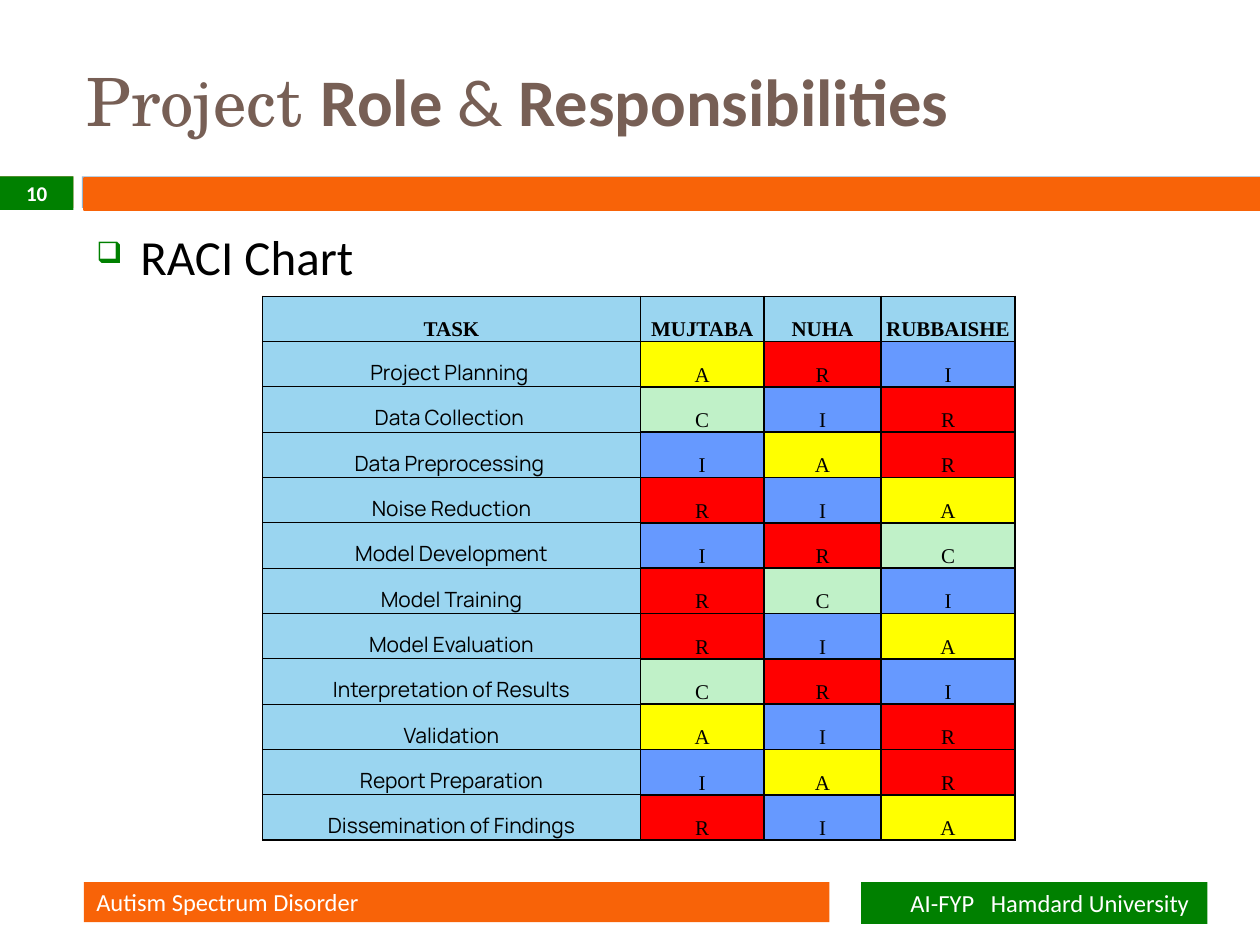
from lxml.etree import SubElement
from pptx import Presentation
from pptx.dml.color import RGBColor
from pptx.enum.shapes import MSO_SHAPE
from pptx.enum.text import MSO_ANCHOR, PP_ALIGN
from pptx.oxml.ns import qn
from pptx.util import Pt

ORANGE = RGBColor(0xF8, 0x63, 0x08)
RUST = RGBColor(0xDD, 0x80, 0x47)
STEEL = RGBColor(0x94, 0xB6, 0xD2)
GREEN = RGBColor(0x00, 0x80, 0x00)
BROWN = RGBColor(0x77, 0x5F, 0x55)
BLACK = RGBColor(0x00, 0x00, 0x00)
WHITE = RGBColor(0xFF, 0xFF, 0xFF)
SKY = RGBColor(0x9A, 0xD5, 0xF0)
ROLE_FILLS = {
    "R": RGBColor(0xFF, 0x00, 0x00),
    "A": RGBColor(0xFF, 0xFF, 0x00),
    "C": RGBColor(0xC0, 0xF1, 0xC8),
    "I": RGBColor(0x66, 0x99, 0xFF),
}

HEADERS = ["TASK", "MUJTABA", "NUHA", "RUBBAISHE"]
TASKS = [
    ("Project Planning ", "ARI"),
    ("Data Collection ", "CIR"),
    ("Data Preprocessing ", "IAR"),
    ("Noise Reduction", "RIA"),
    ("Model Development", "IRC"),
    ("Model Training", "RCI"),
    ("Model Evaluation", "RIA"),
    ("Interpretation of Results", "CRI"),
    ("Validation", "AIR"),
    ("Report Preparation", "IAR"),
    ("Dissemination of Findings", "RIA"),
]
COLUMN_WIDTHS = [216, 70.5, 67, 76.5]
ROW_HEIGHT = 25.92


def style_font(span, size, color, name="Calibri", bold=False):
    font = span.font
    font.size, font.name, font.bold = Pt(size), name, bold
    font.color.rgb = color


def add_run(para, text, *style):
    span = para.add_run()
    span.text = text
    style_font(span, *style)
    return span


def add_bar(slide, left, top, width, height, fill, outline=None):
    bar = slide.shapes.add_shape(
        MSO_SHAPE.RECTANGLE, Pt(left), Pt(top), Pt(width), Pt(height))
    bar.shadow.inherit = False
    bar.fill.solid()
    bar.fill.fore_color.rgb = fill
    if outline is None:
        bar.line.fill.background()
    else:
        bar.line.color.rgb = outline
        bar.line.width = Pt(1.5)
    frame = bar.text_frame
    frame.vertical_anchor = MSO_ANCHOR.MIDDLE
    return frame


def add_text_box(slide, left, top, width, height, anchor):
    box = slide.shapes.add_textbox(Pt(left), Pt(top), Pt(width), Pt(height))
    frame = box.text_frame
    frame.word_wrap = True
    frame.vertical_anchor = anchor
    return frame.paragraphs[0]


def add_bullet(para, indent):
    properties = para._p.get_or_add_pPr()
    properties.set("marL", str(Pt(indent)))
    properties.set("indent", str(-Pt(indent)))
    color = SubElement(properties, qn("a:buClr"))
    SubElement(color, qn("a:srgbClr"), val=str(GREEN))
    SubElement(properties, qn("a:buSzPct"), val="60000")
    SubElement(properties, qn("a:buChar"), char="❑")


def set_borders(cell, left=1, right=1, top=1, bottom=1):
    """Draw black cell borders; must run before the cell is filled."""
    properties = cell._tc.get_or_add_tcPr()
    widths = {"a:lnL": left, "a:lnR": right, "a:lnT": top, "a:lnB": bottom}
    for tag, width in widths.items():
        line = SubElement(properties, qn(tag), w=str(Pt(width)))
        fill = SubElement(line, qn("a:solidFill"))
        SubElement(fill, qn("a:srgbClr"), val=str(BLACK))


def fill_cell(cell, text, fill, font="Times New Roman", bold=False, **borders):
    set_borders(cell, **borders)
    cell.fill.solid()
    cell.fill.fore_color.rgb = fill
    cell.vertical_anchor = MSO_ANCHOR.BOTTOM
    cell.margin_left = cell.margin_right = cell.margin_top = Pt(0.75)
    cell.margin_bottom = Pt(0)
    para = cell.text_frame.paragraphs[0]
    para.alignment = PP_ALIGN.CENTER
    add_run(para, text, 12, BLACK, font, bold)


def add_raci_table(slide):
    row_count = len(TASKS) + 1
    table = slide.shapes.add_table(
        row_count, len(HEADERS), Pt(150), Pt(169.2),
        Pt(sum(COLUMN_WIDTHS)), Pt(ROW_HEIGHT * row_count)).table
    table.first_row = table.horz_banding = False
    for column, width in zip(table.columns, COLUMN_WIDTHS):
        column.width = Pt(width)
    for row in table.rows:
        row.height = Pt(ROW_HEIGHT)

    for index, header in enumerate(HEADERS):
        fill_cell(table.cell(0, index), header, SKY, bold=True,
                  top=0.5, bottom=1 if index else 0.5)
    for row, (task, roles) in enumerate(TASKS, start=1):
        fill_cell(table.cell(row, 0), task, SKY, "Manrope",
                  top=0.5, bottom=1.5 if row == len(TASKS) else 0.5)
        for column, role in enumerate(roles, start=1):
            fill_cell(table.cell(row, column), role, ROLE_FILLS[role])


def add_title(slide):
    para = add_text_box(slide, 42.5, 18, 600, 78, MSO_ANCHOR.MIDDLE)
    add_run(para, "Project ", 38, BROWN, "TeX Gyre Schola")
    for text, bold in (("Role", True), (" & ", False), ("Responsibilities", True)):
        add_run(para, text, 38, BROWN, "Calibri", bold)


def add_heading(slide):
    para = add_text_box(slide, 48, 126, 642, 42, MSO_ANCHOR.TOP)
    para.alignment = PP_ALIGN.JUSTIFY
    para.space_before = Pt(7)
    add_bullet(para, 25.2)
    add_run(para, "RACI Chart", 28, BLACK)


def add_footers(slide):
    topic = add_bar(slide, 48, 504, 426, 23, ORANGE).paragraphs[0]
    topic.alignment = PP_ALIGN.LEFT
    add_run(topic, "Autism Spectrum Disorder", 14, WHITE)

    frame = add_bar(slide, 492, 504, 198, 24, GREEN)
    frame.margin_right = Pt(10.5)
    school = frame.paragraphs[0]
    school.alignment = PP_ALIGN.RIGHT
    add_run(school, "AI-FYP", 14, WHITE)
    gap = add_run(school, " ", 14, WHITE)
    gap.font._element.set("spc", "630")
    add_run(school, "Hamdard University", 14, WHITE)


def main():
    deck = Presentation()
    deck.slide_width, deck.slide_height = Pt(720), Pt(540)
    slide = deck.slides.add_slide(deck.slide_layouts[6])

    add_bar(slide, 0, 100.8, 42, 18, RUST)
    add_bar(slide, 46.8, 100.8, 673.2, 18, STEEL)
    add_bar(slide, 48, 102, 672, 18, ORANGE, ORANGE)
    add_title(slide)
    add_heading(slide)
    add_footers(slide)
    number = add_bar(slide, 0, 100.8, 42, 19.2, GREEN).paragraphs[0]
    number.alignment = PP_ALIGN.CENTER
    add_run(number, "10", 12, WHITE, "Calibri", True)
    add_raci_table(slide)

    deck.save("out.pptx")


if __name__ == "__main__":
    main()
